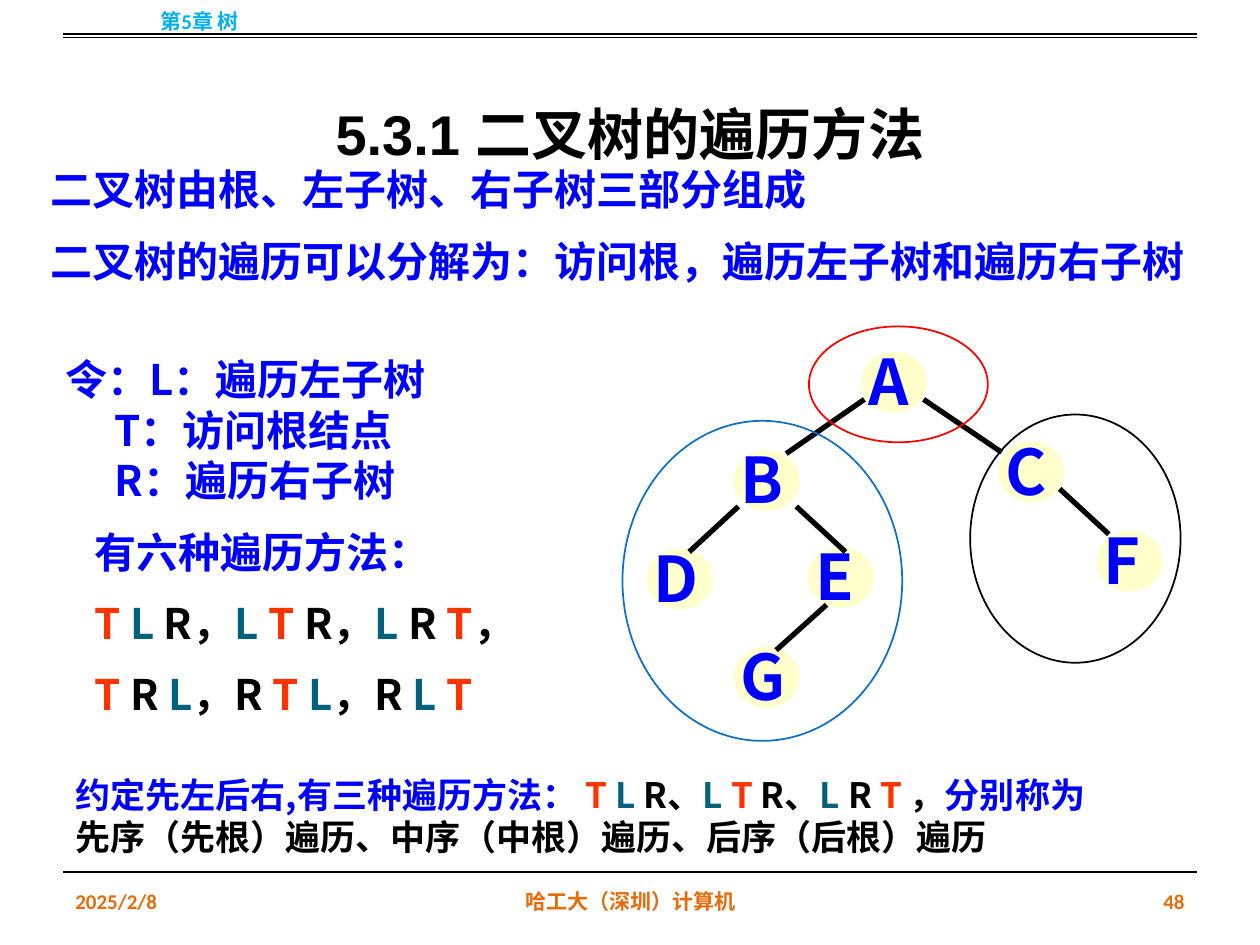
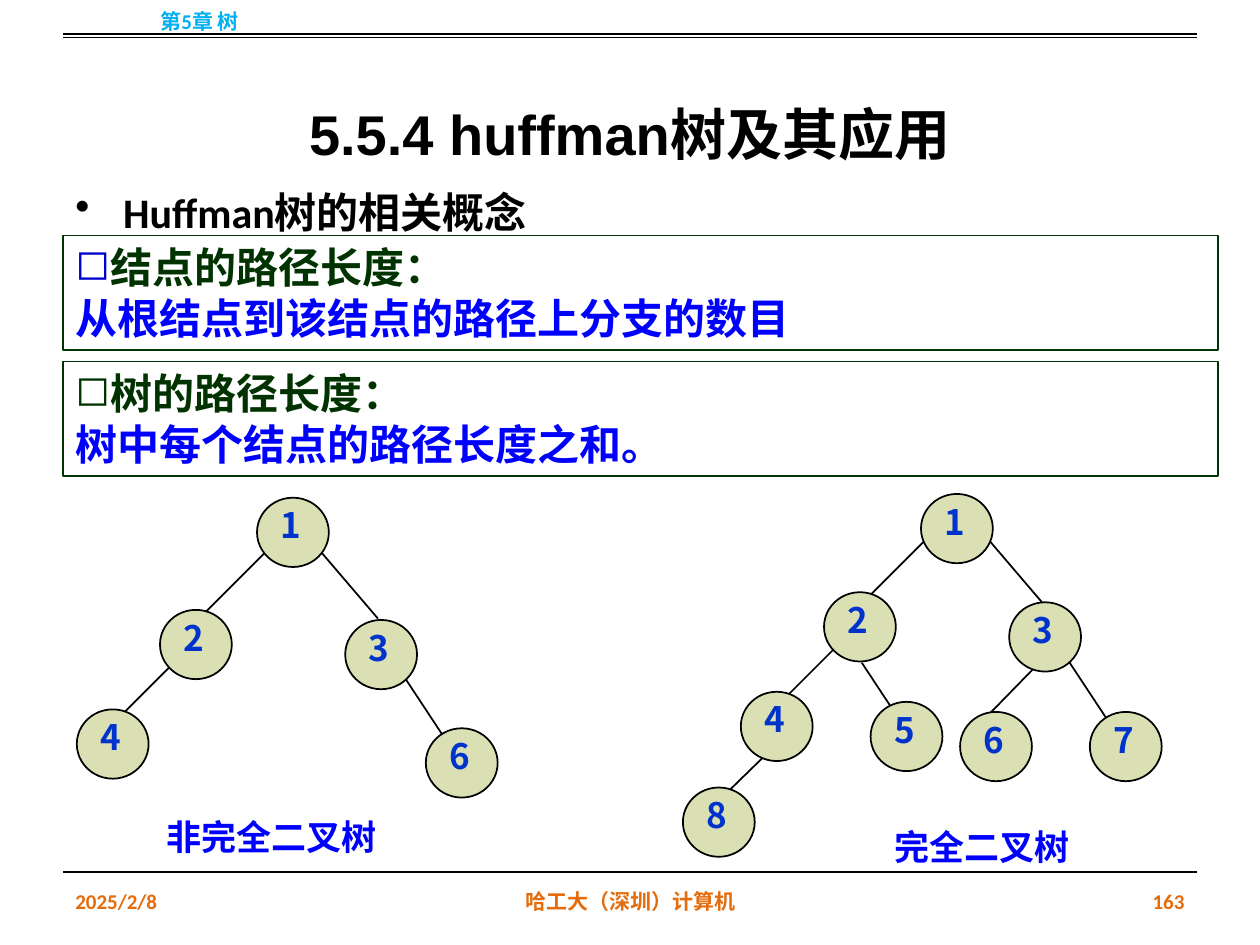
from lxml.etree import SubElement as Sub
from pptx import Presentation as Deck
from pptx.dml.color import RGBColor as Rgb
from pptx.enum.shapes import MSO_CONNECTOR as Wire, MSO_SHAPE as Form
from pptx.enum.text import MSO_ANCHOR as Hold, MSO_AUTO_SIZE as Fit, PP_ALIGN as Side
from pptx.oxml.ns import qn
from pptx.util import Inches, Pt

HUE = {
    "ink": "000000", "blue": "0000FF", "navy": "0000CC", "digit": "0033CC",
    "green": "003300", "sky": "00B0F0", "foot": "E46C0A", "red": "FF0000",
    "ring": "0F6FC6", "cream": "FFFFCC", "sage": "DBE0B4",
    "T": "FF3300", "L": "04617B", "R": "000000",
}
SANS = "Noto Sans CJK SC"
SERIF = "Times New Roman"
NONE = {}


def put(slide, box, text="", kind=None, fill=None, edge=None, font=SANS, size=24,
        hue="blue", side=Side.LEFT, hold=Hold.TOP, inset=0.1, lead=None,
        gaps=NONE, dents=NONE, marks=NONE):
    """Place a text box, a preset shape or the title.

    text is a string or a list of paragraphs; a paragraph is a string or a
    list of (text, hue) runs. gaps (points), dents (inches) and marks
    (bullet, hue) are keyed by paragraph number.
    """
    place = [Inches(v) for v in box]
    if kind == "title":
        shape = slide.shapes.title
        shape.left, shape.top, shape.width, shape.height = place
    elif kind is None:
        shape = slide.shapes.add_textbox(*place)
    else:
        shape = slide.shapes.add_shape(kind, *place)
        shape.shadow.inherit = False
        if fill:
            shape.fill.solid()
            shape.fill.fore_color.rgb = Rgb.from_string(HUE[fill])
        else:
            shape.fill.background()
        shape.line.color.rgb = Rgb.from_string(HUE[edge])
        shape.line.width = Pt(1)
    if not text:
        return
    frame = shape.text_frame
    frame.word_wrap = True
    frame.auto_size = Fit.NONE
    frame.vertical_anchor = hold
    frame.margin_left = Inches(inset)
    for i, part in enumerate([text] if isinstance(text, str) else text):
        para = frame.paragraphs[0] if i == 0 else frame.add_paragraph()
        para.alignment = side
        props = para._p.get_or_add_pPr()
        dent = Inches(dents.get(i, 0))
        props.set("marL", str(dent))
        props.set("indent", str(-dent if i in marks else 0))
        if i in marks:
            mark, tint = marks[i]
            Sub(Sub(props, qn("a:buClr")), qn("a:srgbClr"), val=HUE[tint])
            Sub(props, qn("a:buChar"), char=mark)
        para.space_before = Pt(gaps.get(i, 0))
        if lead:
            para.line_spacing = lead
        for words, tint in [(part, hue)] if isinstance(part, str) else part:
            if words == "\v":
                para.add_line_break()
                continue
            run = para.add_run()
            run.text = words
            run.font.size = Pt(size)
            run.font.bold = True
            run.font.color.rgb = Rgb.from_string(HUE[tint])
            run.font.name = font
            Sub(run._r.get_or_add_rPr(), qn("a:ea"), typeface=SANS)


def link(slide, ends, width):
    wire = slide.shapes.add_connector(Wire.STRAIGHT, *[Inches(v) for v in ends])
    wire.line.color.rgb = Rgb.from_string(HUE["ink"])
    wire.line.width = Pt(width)
    Sub(wire._element.spPr, qn("a:effectLst"))


deck = Deck()
deck.slide_width, deck.slide_height = Inches(10), Inches(7.5)

# Shared frame: title, rules, chapter and footer
pages = []
for title, number in [("5.3.1 二叉树的遍历方法", "48"), ("5.5.4 huffman树及其应用", "163")]:
    page = deck.slides.add_slide(deck.slide_layouts[5])
    put(page, (0.5, 0.3, 9, 1.25), title, kind="title", font="Arial", size=32,
        hue="ink", side=Side.CENTER, hold=Hold.MIDDLE, lead=1.5)
    for y in (0.27, 0.3, 6.92):
        link(page, (0.5, y, 9.5, y), 0.75)
    for box, label, side, hue in [
        ((0, 0, 3.17, 0.34), "第5章 树", Side.CENTER, "sky"),
        ((0.5, 6.95, 2.33, 0.4), "2025/2/8", Side.LEFT, "foot"),
        ((3.42, 6.95, 3.17, 0.4), "哈工大（深圳）计算机", Side.CENTER, "foot"),
        ((7.17, 6.95, 2.33, 0.4), number, Side.RIGHT, "foot"),
    ]:
        put(page, box, label, font="Calibri", size=12, hue=hue, side=side, hold=Hold.MIDDLE)
    pages.append(page)
walk, huff = pages

# Traversal: each order takes its colours from its letters
orders = [
    [(step, step[0] if step[0] in "TLR" else "ink") for step in row.split("|")]
    for row in (
        "T |L |R，|L |T |R，|L |R |T|，",
        "T |R |L|，|R |T |L|，|R |L |T",
        "T |L |R、|L |T |R、|L |R |T| ，",
    )
]
put(walk, (0.3, 1.25, 9.7, 1.11),
    ["二叉树由根、左子树、右子树三部分组成",
     "二叉树的遍历可以分解为：访问根，遍历左子树和遍历右子树"], gaps={1: 12})
put(walk, (0.42, 2.76, 4.42, 3.1),
    ["令：L：遍历左子树", "T：访问根结点", "R：遍历右子树", "有六种遍历方法：", *orders[:2]],
    gaps={3: 12, 4: 12, 5: 12}, dents={1: 0.39, 2: 0.39, 3: 0.23, 4: 0.23, 5: 0.23})
put(walk, (0.5, 6.09, 9.25, 0.77),
    [[("约定先左后右,有三种遍历方法： ", "blue"), *orders[2], ("分别称为", "blue"),
      ("\v", "ink"), ("先序（先根）遍历、中序（中根）遍历、后序（后根）遍历", "ink")]], size=20)

for name, x, y in [
    ("A", 6.84, 2.8), ("F", 8.71, 4.22), ("G", 5.83, 5.14), ("E", 6.42, 4.35),
    ("D", 5.14, 4.36), ("C", 7.93, 3.51), ("B", 5.83, 3.58),
]:
    put(walk, (x, y, 0.51, 0.47), kind=Form.OVAL, fill="cream", edge="cream")
    put(walk, (x - 0.13, y - 0.13, 0.93, 0.7), name, size=36, inset=0.18)
for ends in [
    (6.86, 3.17, 6.24, 3.6), (7.33, 3.17, 7.95, 3.59), (6.32, 4.02, 6.71, 4.38),
    (6.56, 4.8, 6.16, 5.16), (5.86, 4.02, 5.47, 4.38), (8.41, 3.88, 8.8, 4.24),
]:
    link(walk, ends, 3)
for box, edge in [
    ((4.94, 3.34, 2.22, 2.54), "ring"),
    ((7.7, 3.29, 1.67, 1.97), "ink"),
    ((6.42, 2.59, 1.42, 0.92), "red"),
]:
    put(walk, box, kind=Form.OVAL, edge=edge)

# Huffman: two definitions above two sample trees
put(huff, (0.5, 1.33, 9, 0.6), "Huffman树的相关概念", font="Calibri", hue="ink",
    lead=Pt(36), dents={0: 0.38}, marks={0: ("•", "ink")})
for y, term, gist, tint in [
    (1.87, "结点的路径长度：", "从根结点到该结点的路径上分支的数目", "navy"),
    (2.87, "树的路径长度：", "树中每个结点的路径长度之和。", "green"),
]:
    put(huff, (0.5, y, 9.17, 0.91), [[(term, "green")], gist], kind=Form.RECTANGLE,
        edge="green", font=SERIF, dents={0: 0.27}, marks={0: ("◻", tint)})

for ends in [
    (1.35, 5.29, 0.94, 5.7), (3.22, 5.39, 3.53, 5.86), (2.53, 4.36, 3, 4.91),
    (2.13, 4.36, 1.58, 4.91), (6.16, 5.91, 5.74, 6.32), (6.62, 5.15, 6.2, 5.57),
    (8.49, 5.26, 8.8, 5.73), (7.8, 4.23, 8.27, 4.78), (7.4, 4.23, 6.85, 4.78),
    (8.2, 5.31, 7.79, 5.73), (6.84, 5.26, 7.15, 5.73),
]:
    link(huff, ends, 1)
for name, x, y in [
    ("1", 2.04, 3.95), ("2", 1.27, 4.84), ("3", 2.74, 4.92), ("4", 0.61, 5.63),
    ("6", 3.38, 5.78), ("2", 6.54, 4.7), ("3", 8.01, 4.78), ("4", 5.88, 5.49),
    ("7", 8.65, 5.65), ("6", 7.62, 5.65), ("5", 6.91, 5.57), ("8", 5.42, 6.25),
    ("1", 7.31, 3.92),
]:
    put(huff, (x, y, 0.57, 0.55), kind=Form.OVAL, fill="sage", edge="ink")
    put(huff, (x + 0.09, y, 0.57, 0.43), name, size=20, hue="digit")
for x, y, label in [(0.53, 6.42, "非完全二叉树"), (6.17, 6.5, "完全二叉树")]:
    put(huff, (x, y, 3.25, 0.43), label, font=SERIF, size=20, side=Side.CENTER)

deck.save("out.pptx")
